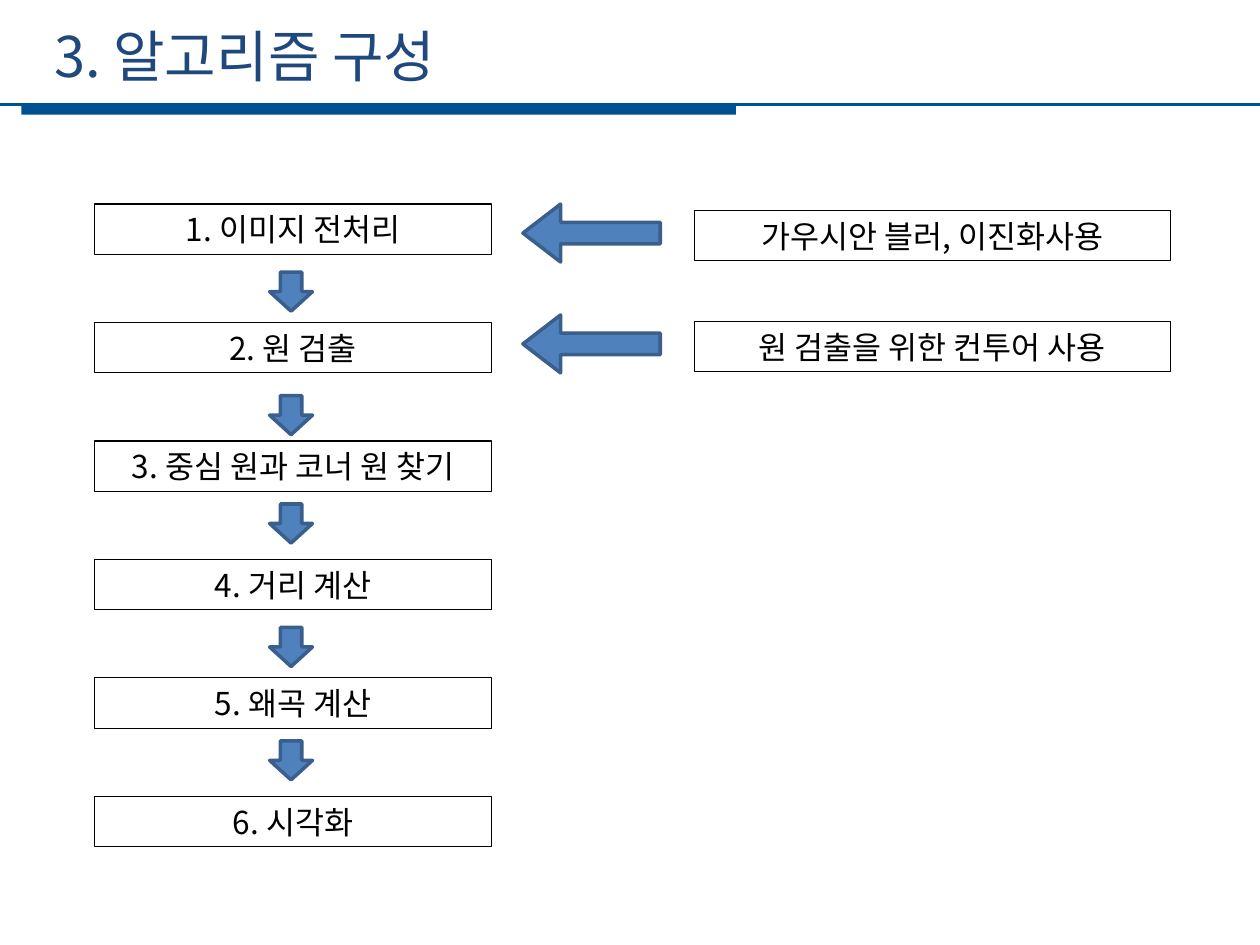
from dataclasses import dataclass

import pptx
import pptx.dml.color
import pptx.enum.shapes
import pptx.enum.text
import pptx.oxml
import pptx.oxml.ns
import pptx.util
from lxml import etree

MSO = pptx.enum.shapes.MSO_SHAPE
ALIGN = pptx.enum.text.PP_ALIGN
ANCHOR = pptx.enum.text.MSO_ANCHOR
qn = pptx.oxml.ns.qn

FONT = "Noto Sans CJK KR"
NAVY, BLUE, EDGE, TITLE, BLACK = "005094", "4F81BD", "3A5F8C", "1F497D", "000000"
COLUMNS, ROWS = 100, 75  # grid over the 10 x 7.5 inch slide
CELL = pptx.util.Inches(0.1)

STEPS = ("1. 이미지 전처리", "2. 원 검출", "3. 중심 원과 코너 원 찾기",
         "4. 거리 계산", "5. 왜곡 계산", "6. 시각화")
NOTES = ("가우시안 블러, 이진화사용", "원 검출을 위한 컨투어 사용")
STEP_TOP, STEP_PITCH = 16.2, 9.4
NOTE_TOP, NOTE_PITCH = 16.7, 8.8
DOWN_ARROW_ROWS = (21.6, 31.4, 40, 49.8, 58.8)


@dataclass(frozen=True)
class Area:
    """A place on the grid, in columns and rows."""
    col: float
    row: float
    width: float
    height: float

    def lengths(self) -> list[int]:
        return [round(n * CELL) for n in (self.col, self.row, self.width, self.height)]


def rgb(value: str) -> pptx.dml.color.RGBColor:
    return pptx.dml.color.RGBColor.from_string(value)


def write(s, text: str, size: float, color: str, align) -> None:
    tf = s.text_frame
    tf.word_wrap = True
    tf.vertical_anchor = ANCHOR.MIDDLE
    p = tf.paragraphs[0]
    p.text = text
    p.alignment = align
    p.font.name = FONT
    p.font.size = pptx.util.Pt(size)
    p.font.color.rgb = rgb(color)
    # The East Asian typeface has no public setter.
    props = p._p.pPr.find(qn("a:defRPr"))
    etree.SubElement(props, qn("a:ea")).set("typeface", FONT)


def add_shape(slide, kind, area: Area, fill: str | None = None,
              line: str | None = None, weight: float = 0.75):
    s = slide.shapes.add_shape(kind, *area.lengths())
    s.shadow.inherit = False
    if fill:
        s.fill.solid()
        s.fill.fore_color.rgb = rgb(fill)
    else:
        s.fill.background()
    if line:
        s.line.color.rgb = rgb(line)
        s.line.width = pptx.util.Pt(weight)
    else:
        s.line.fill.background()
    return s


def add_box(slide, area: Area, text: str) -> None:
    write(add_shape(slide, MSO.RECTANGLE, area, line=BLACK), text, 18, BLACK, ALIGN.CENTER)


def add_arrow(slide, kind, area: Area):
    return add_shape(slide, kind, area, BLUE, EDGE, 2)


def add_header(slide, text: str) -> None:
    add_shape(slide, MSO.RECTANGLE, Area(1.7, 8.3, 56.7, 0.8), NAVY)
    y = round(8.3 * CELL)
    rule = slide.shapes.add_connector(
        pptx.enum.shapes.MSO_CONNECTOR.STRAIGHT, 0, y, COLUMNS * CELL, y)
    rule.line.color.rgb = rgb(NAVY)
    rule.line.width = pptx.util.Pt(1.25)
    etree.SubElement(rule._element.spPr, qn("a:effectLst"))
    title = slide.shapes.title
    title.left, title.top, title.width, title.height = Area(3.3, 1.2, 89.6, 6.4).lengths()
    write(title, text, 32, TITLE, ALIGN.LEFT)


def main() -> None:
    prs = pptx.Presentation()
    prs.slide_width, prs.slide_height = COLUMNS * CELL, ROWS * CELL
    slide = prs.slides.add_slide(prs.slide_layouts[5])
    add_header(slide, "3. 알고리즘 구성")

    for i, text in enumerate(STEPS):
        add_box(slide, Area(7.5, STEP_TOP + i * STEP_PITCH, 31.5, 4), text)
    for row in DOWN_ARROW_ROWS:
        add_arrow(slide, MSO.DOWN_ARROW, Area(21.4, row, 3.4, 3.1))
    for i, text in enumerate(NOTES):
        row = NOTE_TOP + i * NOTE_PITCH
        arrow = add_arrow(slide, MSO.LEFT_ARROW, Area(41.5, row - 0.5, 10.9, 4.6))
        arrow.adjustments[0], arrow.adjustments[1] = 0.37, 0.65
        add_box(slide, Area(55.1, row, 37.8, 4), text)

    prs.save("out.pptx")


if __name__ == "__main__":
    main()
